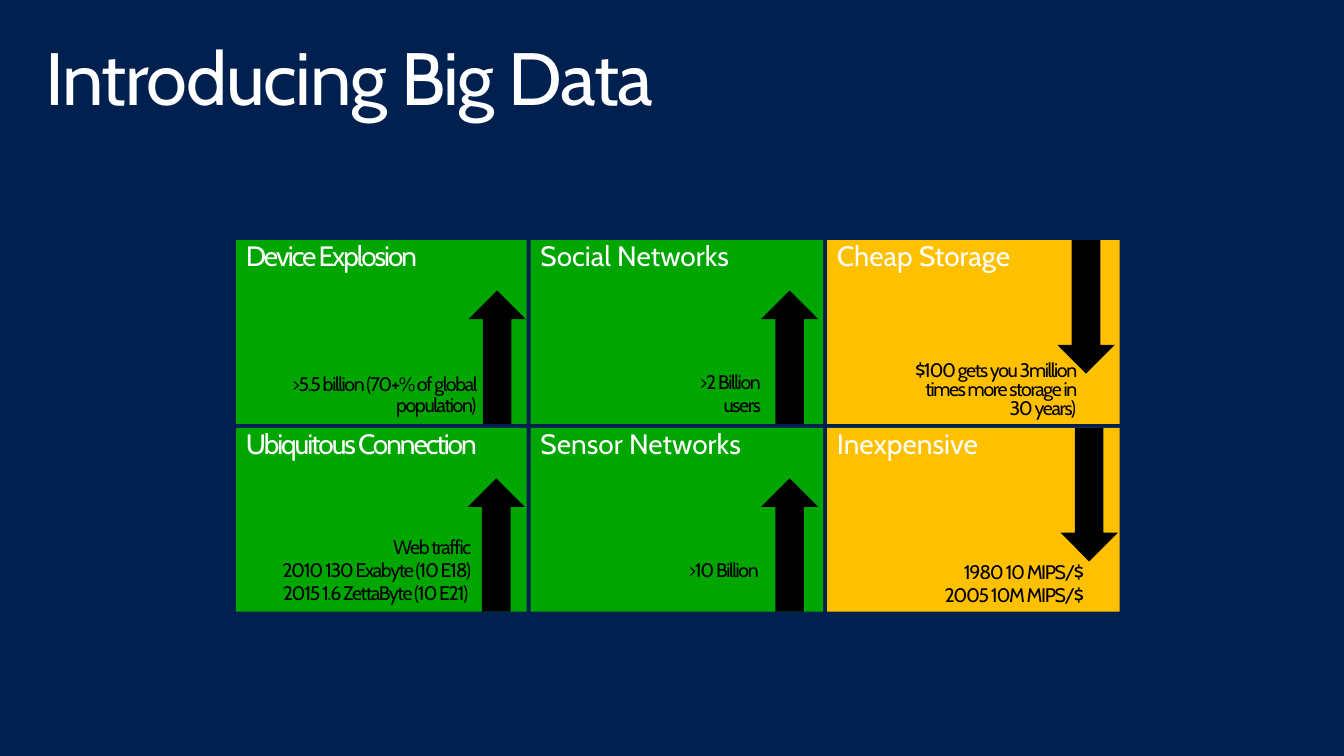
"""Build the Big Data slide: six tiles, each with a trend arrow and a note."""
from dataclasses import dataclass

from pptx import Presentation
from pptx.dml.color import RGBColor
from pptx.enum import shapes, text
from pptx.util import Pt

NAVY = RGBColor(0x00, 0x20, 0x50)
GREEN = RGBColor(0x00, 0xA6, 0x00)
GOLD = RGBColor(0xFF, 0xC0, 0x00)
WHITE = RGBColor(0xFF, 0xFF, 0xFF)
BLACK = RGBColor(0x00, 0x00, 0x00)

WIDTHS = (211.7, 213.1, 213.1)
LEFT, TOP, HEIGHT, GAP = 172.1, 175, 133.9, 2.9
ARROW_W, ARROW_H = 41.8, 97.2


@dataclass
class Tile:
    col: int
    row: int
    head: str
    lines: tuple[str, ...]
    note: tuple[float, float, float, float]
    arrow: float
    track: float = 0
    lead: float = 0.8
    rise: bool = True


TILES = (
    Tile(0, 0, "Device Explosion", (">5.5 billion (70+% of global population)",),
         (202.3, 272.9, 144.7, 31.7), 341.3, track=-1.5, lead=0.9),
    Tile(1, 0, "Social Networks", (">2 Billion", "users"),
         (425.5, 272.9, 128.9, 31.7), 554.4),
    Tile(2, 0, "Cheap Storage",
         ("$100 gets you 3million times more storage in 30 years)",),
         (660.2, 264.2, 123.8, 42.5), 770.4, rise=False),
    Tile(0, 1, "Ubiquitous Connection",
         ("Web traffic", "2010 130 Exabyte (10 E18)",
          "2015 1.6 ZettaByte (10 E21) "),
         (167, 393.1, 176.4, 49.7), 340.6, track=-1.5),
    Tile(1, 1, "Sensor Networks", (">10 Billion",),
         (422.6, 409.7, 130.3, 31.7), 554.4),
    Tile(2, 1, "Inexpensive", ("1980 10 MIPS/$ ", "2005 10M MIPS/$ "),
         (668.9, 411.1, 123.1, 31.7), 772.6, rise=False),
)


def write(shape, *lines: str, size: float, color: RGBColor, track: float = 0,
          lead: float = 0.8, align=text.PP_ALIGN.LEFT, inset=(0, 0)) -> None:
    frame = shape.text_frame
    frame.word_wrap = True
    frame.auto_size = text.MSO_AUTO_SIZE.NONE
    frame.vertical_anchor = text.MSO_ANCHOR.TOP
    frame.margin_left = frame.margin_right = Pt(inset[0])
    frame.margin_top = frame.margin_bottom = Pt(inset[1])
    for index, line in enumerate(lines):
        para = frame.add_paragraph() if index else frame.paragraphs[0]
        para.alignment = align
        para.line_spacing = lead
        para.space_before = Pt(0.2 * size if index else 0)
        run = para.add_run()
        run.text = line
        run.font.name = "Cabin"
        run.font.size = Pt(size)
        run.font.color.rgb = color
        if track:
            run._r.get_or_add_rPr().set("spc", str(int(track * 100)))


def block(slide, kind, left: float, top: float, width: float, height: float,
          color: RGBColor):
    shape = slide.shapes.add_shape(kind, Pt(left), Pt(top), Pt(width), Pt(height))
    shape.shadow.inherit = False
    shape.fill.solid()
    shape.fill.fore_color.rgb = color
    shape.line.fill.background()
    return shape


def draw(slide, tile: Tile) -> None:
    left = LEFT + sum(WIDTHS[:tile.col]) + GAP * tile.col
    top = TOP + tile.row * (HEIGHT + GAP)
    card = block(slide, shapes.MSO_SHAPE.RECTANGLE, left, top,
                 WIDTHS[tile.col], HEIGHT, GREEN if tile.rise else GOLD)
    write(card, tile.head, size=20.4, color=WHITE, track=tile.track,
          inset=(7.2, 3.6))
    note = slide.shapes.add_textbox(*map(Pt, tile.note))
    write(note, *tile.lines, size=14.3, color=BLACK, track=-1, lead=tile.lead,
          align=text.PP_ALIGN.RIGHT)
    kind = shapes.MSO_SHAPE.UP_ARROW if tile.rise else shapes.MSO_SHAPE.DOWN_ARROW
    start = top + HEIGHT - ARROW_H if tile.rise else top
    block(slide, kind, tile.arrow, start, ARROW_W, ARROW_H, BLACK)


def main() -> None:
    deck = Presentation()
    deck.slide_width, deck.slide_height = Pt(979.2), Pt(550.8)
    slide = deck.slides.add_slide(deck.slide_layouts[5])
    slide.background.fill.solid()
    slide.background.fill.fore_color.rgb = NAVY
    title = slide.shapes.title
    title.left, title.top, title.width, title.height = map(Pt, (21.6, 23, 936, 72))
    write(title, "Introducing Big Data", size=54, color=WHITE, track=-1, lead=0.9,
          inset=(11.5, 7.2))
    for tile in TILES:
        draw(slide, tile)
    deck.save("out.pptx")


if __name__ == "__main__":
    main()
